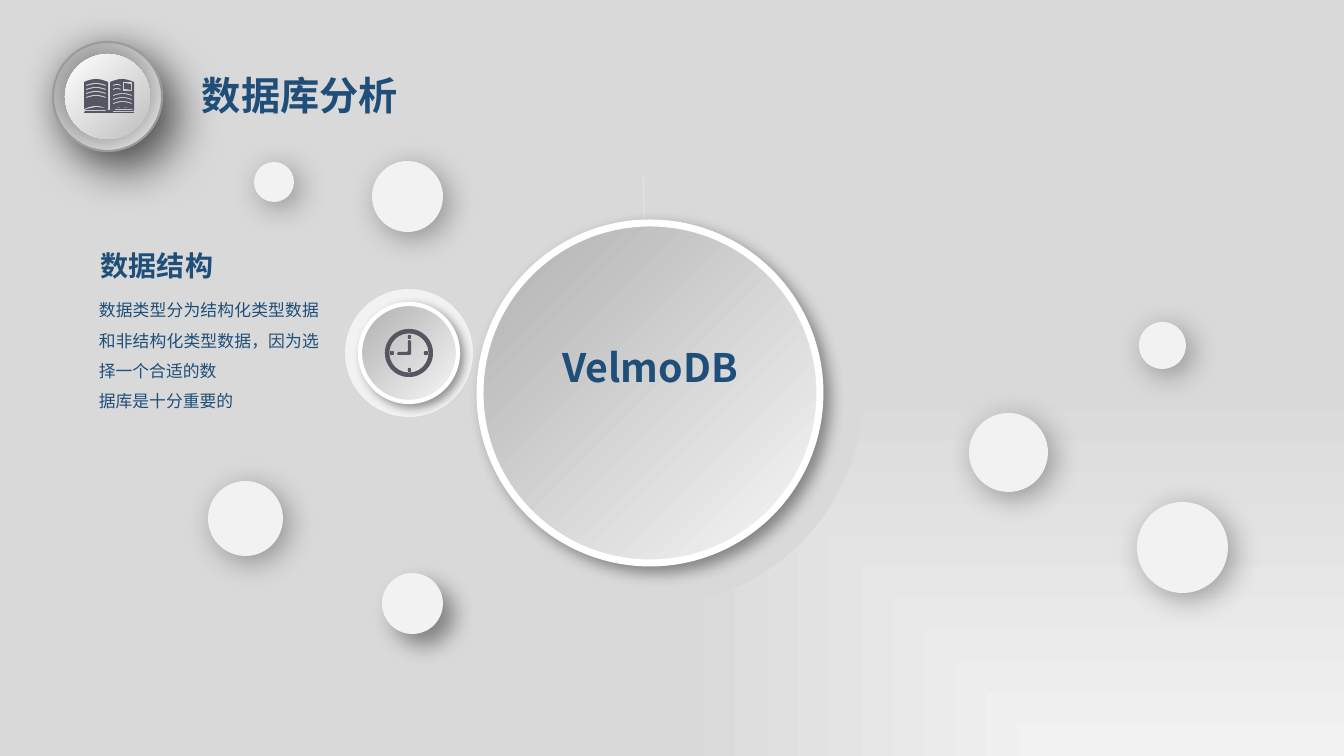
import math
from lxml import etree
from pptx import Presentation, util as u
from pptx.dml.color import RGBColor
from pptx.enum import shapes, text
from pptx.oxml.ns import qn

PX = 914400 / 100.8
FONT = "Noto Sans CJK SC"
NAVY = RGBColor(0x1F, 0x4E, 0x79)
SLATE = RGBColor(0x54, 0x57, 0x63)
CORAL = RGBColor(0xE8, 0x70, 0x71)
WHITE = RGBColor(0xFF, 0xFF, 0xFF)
PALE = RGBColor(0xF2, 0xF2, 0xF2)
MIST = RGBColor(0xE7, 0xE6, 0xE6)
GREY = RGBColor(0xD9, 0xD9, 0xD9)
SILVER = RGBColor(0xBF, 0xBF, 0xBF)
STEEL = RGBColor(0xB0, 0xB0, 0xB0)
SNOW = RGBColor(0xF7, 0xF7, 0xF7)
KIND = shapes.MSO_SHAPE

prs = Presentation()
prs.slide_width, prs.slide_height = round(1344 * PX), round(756 * PX)
slide = prs.slides.add_slide(prs.slide_layouts[6])


def style(sp, *colors, path=None, line=None, width=0, shadow=None):
    """One colour fills solid, two make a gradient; shadow is (opacity %, blur pt, distance pt, degrees)."""
    if len(colors) == 1:
        sp.fill.solid()
        sp.fill.fore_color.rgb = colors[0]
    else:
        sp.fill.gradient()
        sp.fill.gradient_angle = 315
        for stop, color in zip(sp.fill.gradient_stops, colors):
            stop.color.rgb = color
    if path:
        lin = sp._element.xpath(".//a:gradFill/a:lin")[0]
        focus = etree.Element(qn("a:path"), path=path)
        etree.SubElement(focus, qn("a:fillToRect"), l="100000", t="100000")
        lin.getparent().replace(lin, focus)
    if sp is slide.background:
        return
    if line:
        sp.line.color.rgb, sp.line.width = line, u.Pt(width)
    else:
        sp.line.fill.background()
    sp.shadow.inherit = False
    if shadow:
        opacity, blur, dist, angle = shadow
        effects = sp._element.spPr.find(qn("a:effectLst"))
        outer = etree.SubElement(effects, qn("a:outerShdw"), blurRad=str(u.Pt(blur)), dist=str(u.Pt(dist)),
                                 dir=str(angle * 60000), algn="ctr", rotWithShape="0")
        black = etree.SubElement(outer, qn("a:srgbClr"), val="000000")
        etree.SubElement(black, qn("a:alpha"), val=str(opacity * 1000))


def add_text(*paragraphs, box, size, bold=False, align=None, spacing=None):
    tb = slide.shapes.add_textbox(*[round(v * PX) for v in box])
    tf = tb.text_frame
    tf.word_wrap = True
    tf.auto_size = text.MSO_AUTO_SIZE.SHAPE_TO_FIT_TEXT
    for i, words in enumerate(paragraphs):
        p = tf.add_paragraph() if i else tf.paragraphs[0]
        p.alignment, p.line_spacing = align, spacing
        r = p.add_run()
        r.text = words
        r.font.size, r.font.bold, r.font.name = u.Pt(size), bold, FONT
        r.font.color.rgb = NAVY
        etree.SubElement(r._r.get_or_add_rPr(), qn("a:ea"), typeface=FONT)


# Background
style(slide.background, PALE, GREY, path="rect")

# Badge, hub and clock discs: kind, box, adjustments, rotation, colours, format
HUB = (435, 178, 428, 428)
CLOCK = (385, 329, 48, 48)
discs = [
    (KIND.OVAL, (53, 42, 109, 109), (), 0, (WHITE, SILVER),
     dict(path="circle", line=STEEL, width=1.5, shadow=(55, 33, 18, 50))),
    (KIND.OVAL, (65, 54, 85, 85), (), 0, (SILVER, WHITE), dict(path="circle", shadow=(55, 33, 0, 0))),
    (KIND.PIE, HUB, (54.996, 141.426), 33.9, (MIST,), {}),
    (KIND.PIE, HUB, (140.828, 140.645), 33.9, (GREY,), {}),
    (KIND.OVAL, (480, 223, 340, 340), (), 0, (STEEL, SNOW), dict(line=WHITE, width=5, shadow=(40, 11, 6, 45))),
    (KIND.OVAL, (345, 289, 128, 128), (), 0, (PALE,), {}),
    (KIND.OVAL, (360, 304, 98, 98), (), 0, (STEEL, SNOW), dict(line=WHITE, width=3, shadow=(40, 7, 4, 45))),
    (KIND.DONUT, CLOCK, (0.09,), 0, (CORAL,), {}),
    (KIND.DONUT, CLOCK, (0.09,), 0, (SLATE,), {}),
]
# Clock ticks
for box in [(408, 335, 3, 4), (408, 368, 3, 4), (390, 351, 4, 4), (424, 351, 4, 4)]:
    discs.append((KIND.ROUNDED_RECTANGLE, box, (0.3,), 0, (SLATE,), {}))
# Floating bubbles: left, top, diameter
for x, y, d in [(208, 481, 75), (1137, 502, 91), (969, 413, 79), (382, 573, 61),
                (372, 161, 71), (1139, 322, 47), (254, 162, 40)]:
    shade = (40, 16, 11, 45) if d == 61 else (33, 21, 6, 45)
    discs.append((KIND.ROUNDED_RECTANGLE, (x, y, d, d), (0.5,), 16, (PALE,), dict(shadow=shade)))

for kind, box, adjustments, rotation, colors, options in discs:
    sp = slide.shapes.add_shape(kind, *[round(v * PX) for v in box])
    for i, value in enumerate(adjustments):
        sp.adjustments[i] = value
    sp.rotation = rotation
    style(sp, *colors, **options)

# Book pages: arched bands (left, right, top, bottom, rise), the first is the page and the rest are cut out
pages = [
    [(84, 108, 82, 109, 3)] + [(86, 106, y, y + 1, 2) for y in (85, 89, 93, 97)],
    [(110, 134, 82, 110, 3)] + [(113, 132, y, y + 1, 2) for y in (95, 99, 103)]
    + [(113, 121, y, y + 1, 1) for y in (85, 89)] + [(123, 132, 82, 91, 0)],
]
outlines = []
for page in pages:
    contours = []
    for left, right, top, bottom, rise in page:
        arch = [(left + (right - left) * k / 12, rise * math.sin(math.pi * k / 12)) for k in range(13)]
        contours.append([(x, top - h) for x, h in arch] + [(x, bottom - h) for x, h in reversed(arch)])
    outlines.append(contours)

# Book stamp, book cover and clock hands
outlines += [
    [[(124, 83), (131, 84), (131, 90), (124, 89)]],
    [[(113, 112), (113, 111), (134, 111), (134, 110), (115, 110), (115, 109), (133, 109), (128, 108),
      (122, 107), (115, 108), (111, 109), (111, 110), (108, 110), (107, 108), (96, 107), (86, 109),
      (85, 110), (106, 110), (106, 111), (85, 111), (84, 113), (134, 113), (134, 112)]],
    [[(409, 340), (411, 341), (411, 354), (410, 355), (398, 355), (397, 354), (398, 352),
      (407, 352), (408, 351), (408, 341)]],
]
for contours in outlines:
    tenths = [[(x * 10, y * 10) for x, y in points] for points in contours]
    builder = slide.shapes.build_freeform(*tenths[0][0], scale=PX / 10)
    for i, points in enumerate(tenths):
        if i:
            builder.move_to(*points[0])
        builder.add_line_segments(points[1:], close=True)
    style(builder.convert_to_shape(), SLATE)

# Texts
add_text("数据库分析", box=(192, 66, 343, 57), size=28, bold=True)
add_text("VelmoDB", box=(547, 329, 206, 67), size=28, bold=True, align=text.PP_ALIGN.CENTER, spacing=1.2)
add_text("数据结构", box=(91, 244, 206, 44), size=20, bold=True)
add_text("数据类型分为结构化类型数据和非结构化类型数据，因为选择一个合适的数", "据库是十分重要的",
         box=(89, 285, 240, 132), size=12, align=text.PP_ALIGN.JUSTIFY, spacing=1.5)

prs.save("out.pptx")
